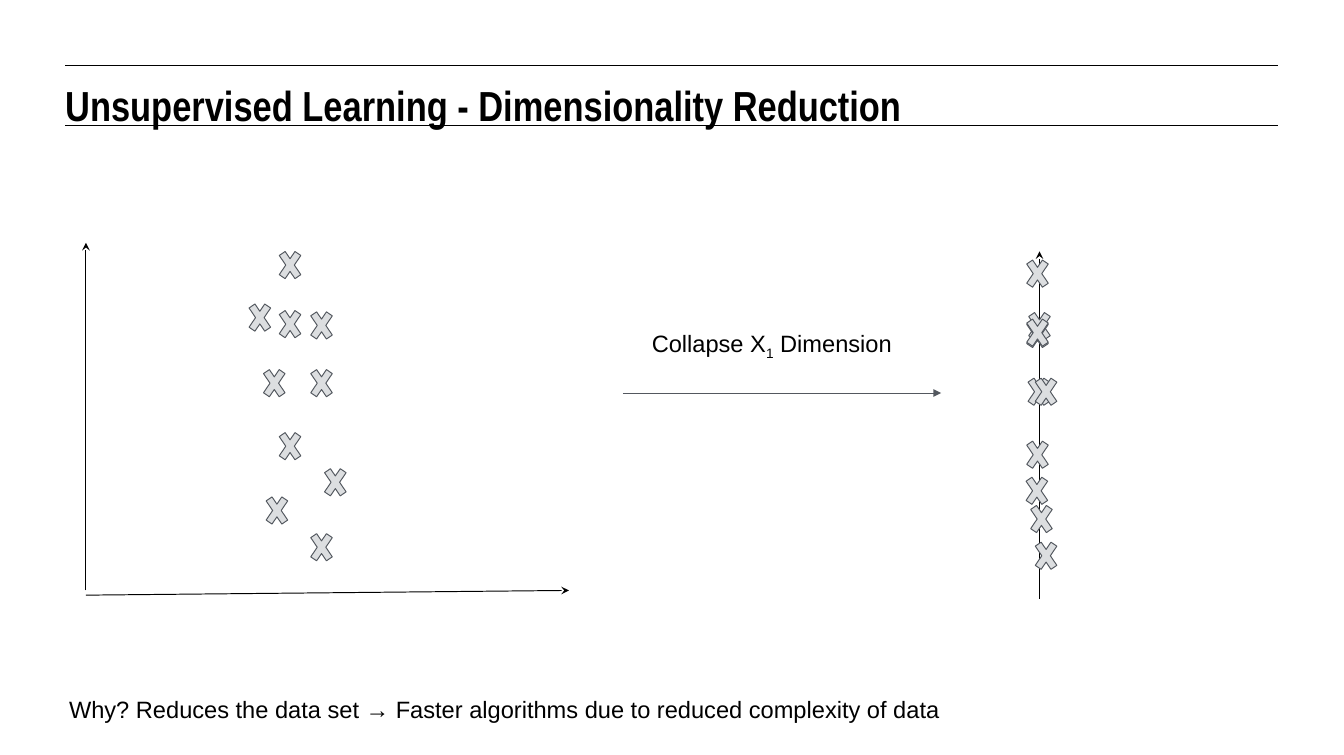
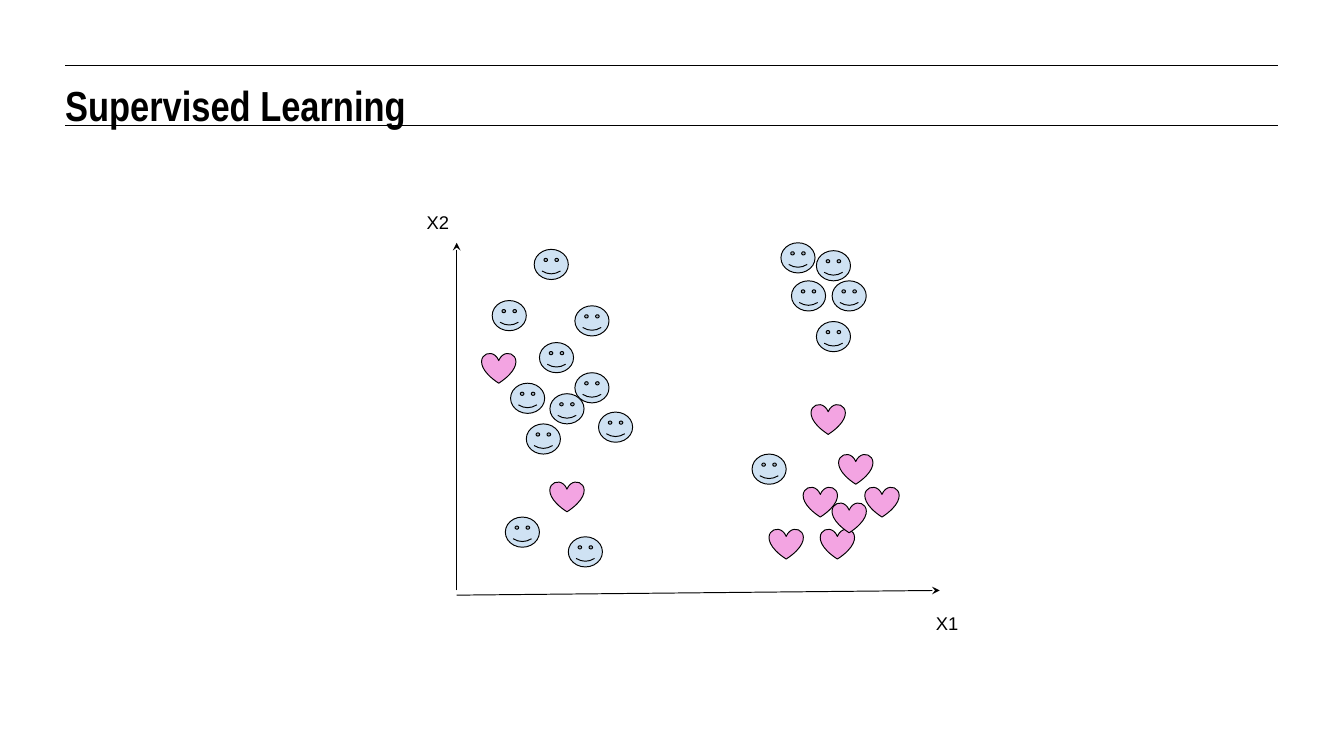
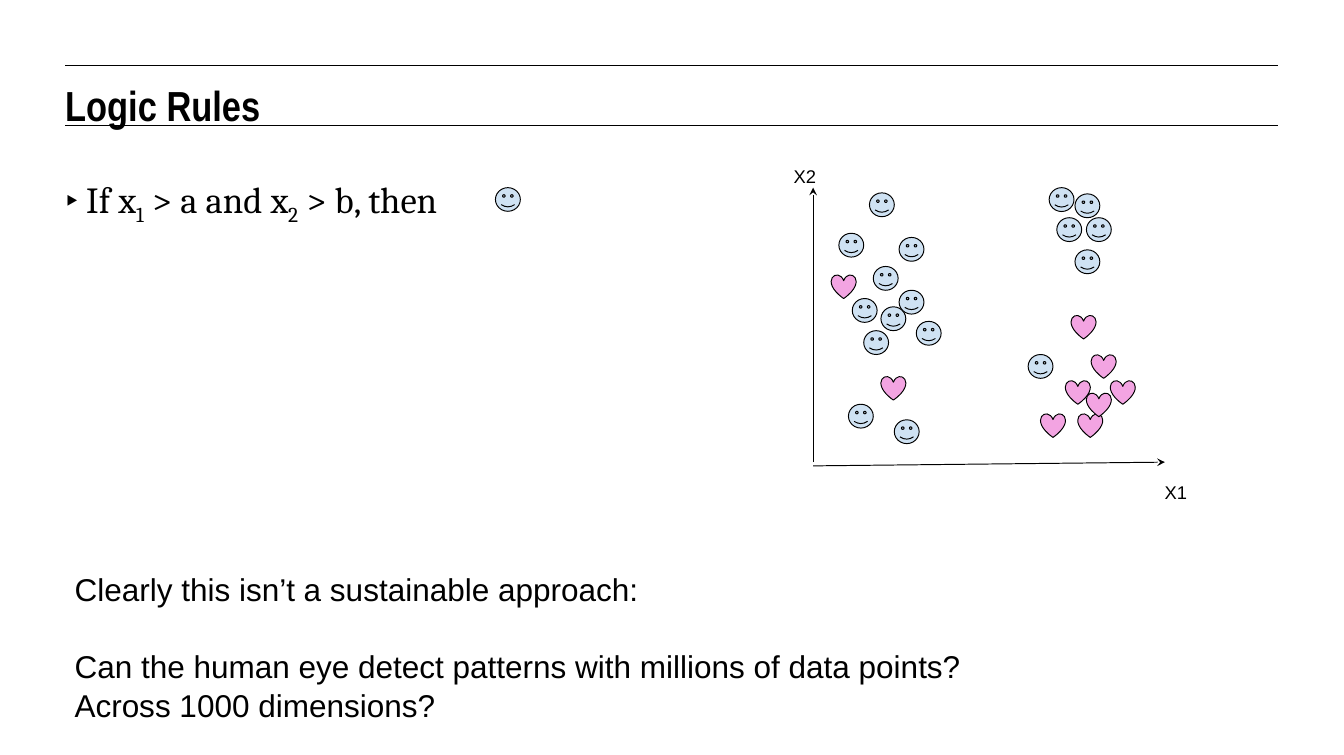
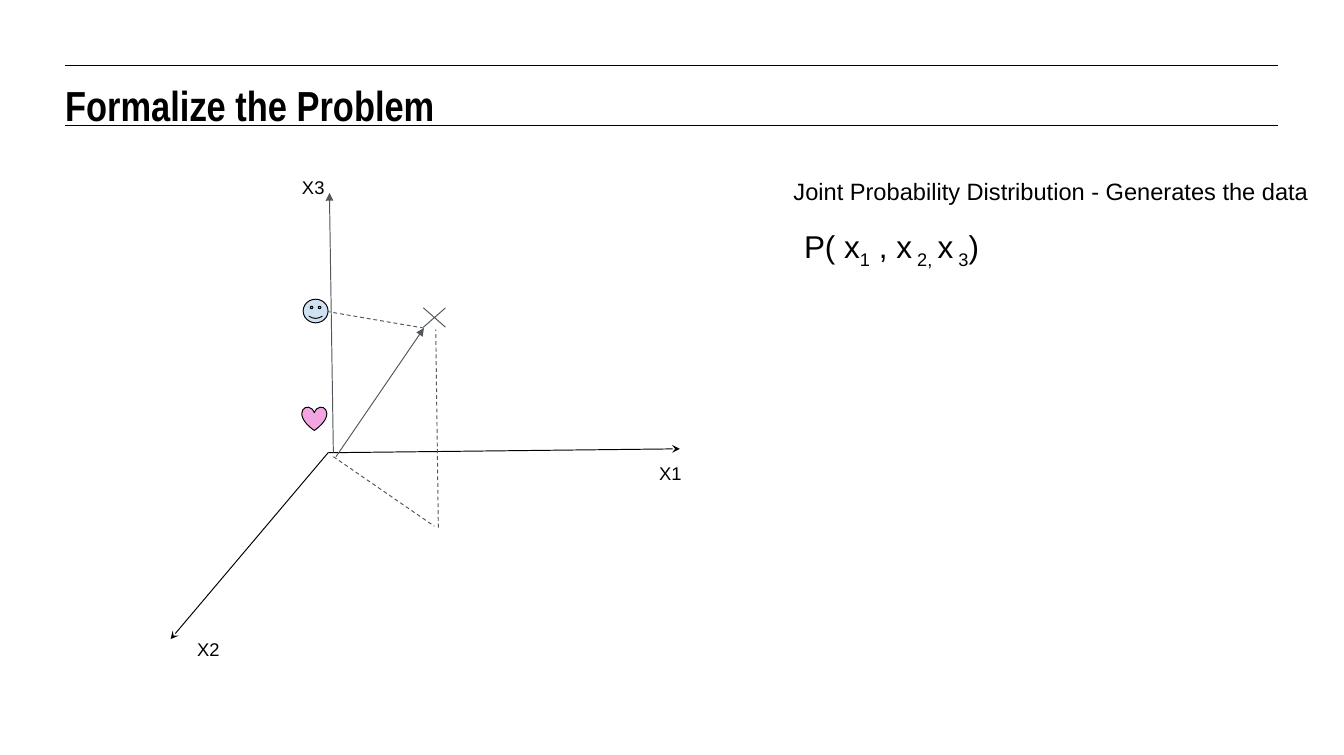
from dataclasses import dataclass
from typing import NamedTuple

from pptx import Presentation
from pptx.dml.color import RGBColor
from pptx.enum.dml import MSO_LINE
from pptx.enum.shapes import MSO_CONNECTOR, MSO_SHAPE
from pptx.enum.text import MSO_ANCHOR, MSO_AUTO_SIZE, PP_ALIGN
from pptx.oxml.ns import qn
from pptx.util import Pt
from lxml.etree import SubElement


@dataclass(frozen=True)
class Theme:
    black: RGBColor = RGBColor(0x00, 0x00, 0x00)
    slate: RGBColor = RGBColor(0x53, 0x58, 0x5F)
    silver: RGBColor = RGBColor(0xDC, 0xDE, 0xE0)
    sky: RGBColor = RGBColor(0xCF, 0xE2, 0xF3)
    pink: RGBColor = RGBColor(0xF3, 0xA4, 0xE2)
    title_font: str = "Arial Narrow"
    text_font: str = "Arial"
    rule_font: str = "Cambria"
    title_size: int = 32
    body_size: int = 28
    large_size: int = 24
    note_size: int = 18
    label_size: int = 14
    line_width: float = 0.75
    inset: float = 7.2


class Box(NamedTuple):
    left: float
    top: float
    width: float
    height: float


THEME = Theme()
SLIDE_SIZE = (1024, 575.3)
TITLE_BOX = Box(49.7, 58.3, 924, 34)
RULE_LEVELS = (49.7, 95.8)
TITLE_ONLY, TITLE_AND_BODY = 5, 1

# Axes and scatter data share one grid, scaled to the box of each plot
GRID = (368, 268.5)
AXIS_LIFT = 3.6
MARKER_SIZE = (26, 23)
SMALL_MARKER = (19, 18)
SMALL_LABEL = (32.5, 18)
CROSS_SIZE = (23, 34)

FACES = [
    (63, 76), (41, 107), (108, 129), (53, 138), (71, 115), (90, 99),
    (225, 161), (37, 209), (85, 224), (59, 5), (27, 44), (90, 48),
    (255, 29), (274, 6), (286, 29), (274, 60), (247, 0),
]
HEARTS = [
    (291, 161), (238, 218), (264, 186), (277, 218), (311, 186),
    (270, 123), (286, 198), (71, 182), (19, 84),
]
# Each sample: x in the plane, y, and x beside the single remaining axis
SAMPLES = [
    (144, 0, -13), (121, 40, -11.5), (168, 46, -13), (144, 45, -13),
    (132, 90, -12), (168, 90, -6.5), (134, 187, -10), (168, 215, -6.5),
    (144, 138, -13), (178.5, 165.5, -13.5),
]


# Basic parts
def place(shape, box):
    shape.left, shape.top, shape.width, shape.height = (Pt(v) for v in box)


def format_run(run, size, font=THEME.text_font, bold=False):
    run.font.name, run.font.size, run.font.bold = font, Pt(size), bold
    run.font.color.rgb = THEME.black


def write(paragraph, text, size, font=THEME.text_font):
    """Write text in which underscores enclose subscripts."""
    for index, part in enumerate(text.split("_")):
        if part:
            run = paragraph.add_run()
            run.text = part
            format_run(run, size, font)
            if index % 2:
                run._r.get_or_add_rPr().set("baseline", "-25000")


def set_frame(frame, inset):
    frame.word_wrap = True
    frame.auto_size = MSO_AUTO_SIZE.NONE
    frame.vertical_anchor = MSO_ANCHOR.TOP
    frame.margin_left = frame.margin_right = Pt(inset)
    frame.margin_top = frame.margin_bottom = Pt(inset)


def add_text(slide, box, text, size):
    frame = slide.shapes.add_textbox(*(Pt(v) for v in box)).text_frame
    set_frame(frame, THEME.inset)
    write(frame.paragraphs[0], text, size)
    return frame


def add_line(slide, start, end, color=THEME.black, head=None, dashed=False):
    line = slide.shapes.add_connector(
        MSO_CONNECTOR.STRAIGHT, *(Pt(v) for v in (*start, *end)))
    line.line.color.rgb = color
    line.line.width = Pt(THEME.line_width)
    if dashed:
        line.line.dash_style = MSO_LINE.DASH
    properties = line.element.spPr
    if head:
        SubElement(properties.find(qn("a:ln")), qn("a:tailEnd"), type=head)
    SubElement(properties, qn("a:effectLst"))
    return line


def add_marker(slide, kind, box, fill, outline=THEME.black):
    marker = slide.shapes.add_shape(kind, *(Pt(v) for v in box))
    marker.shadow.inherit = False
    marker.fill.solid()
    marker.fill.fore_color.rgb = fill
    marker.line.color.rgb = outline
    marker.line.width = Pt(THEME.line_width)
    return marker


def add_face(slide, box):
    add_marker(slide, MSO_SHAPE.SMILEY_FACE, box, THEME.sky)


def add_heart(slide, box):
    add_marker(slide, MSO_SHAPE.HEART, box, THEME.pink)


def add_cross(slide, box):
    return add_marker(slide, MSO_SHAPE.MATH_MULTIPLY, box, THEME.silver,
                      THEME.slate)


# Shared frame of the slides
def add_titled_slide(presentation, title, layout=TITLE_ONLY):
    slide = presentation.slides.add_slide(presentation.slide_layouts[layout])
    shape = slide.shapes.title
    place(shape, TITLE_BOX)
    frame = shape.text_frame
    frame.text = title
    set_frame(frame, 0)
    frame.margin_top = Pt(2.5)
    frame.paragraphs[0].alignment = PP_ALIGN.LEFT
    format_run(frame.paragraphs[0].runs[0], THEME.title_size,
               THEME.title_font, bold=True)
    return slide


def move_rules_to_master(presentation, slide):
    """Draw the rules around the title and hand them to the master."""
    tree = presentation.slide_master.element.cSld.spTree
    right = TITLE_BOX.left + TITLE_BOX.width
    for number, level in enumerate(RULE_LEVELS, start=101):
        rule = add_line(slide, (TITLE_BOX.left, level), (right, level))
        rule.element.nvCxnSpPr.cNvPr.set("id", str(number))
        tree.append(rule.element)


# Plots
def add_vertical_axis(slide, box):
    lift = AXIS_LIFT * box.height / GRID[1]
    add_line(slide, (box.left, box.top + box.height - lift),
             (box.left, box.top), head="stealth")


def add_axes(slide, box):
    add_vertical_axis(slide, box)
    bottom = box.top + box.height
    lift = AXIS_LIFT * box.height / GRID[1]
    add_line(slide, (box.left, bottom), (box.left + box.width, bottom - lift),
             head="stealth")


def add_class_plot(slide, box):
    scale_x, scale_y = box.width / GRID[0], box.height / GRID[1]

    def scaled(x, y, width, height):
        return Box(box.left + x * scale_x, box.top + y * scale_y,
                   width * scale_x, height * scale_y)

    add_axes(slide, box)
    add_text(slide, scaled(358, 274, 45, 23), "X1", THEME.label_size)
    add_text(slide, scaled(-30, -31, 45, 23), "X2", THEME.label_size)
    for add_point, points in ((add_face, FACES), (add_heart, HEARTS)):
        for point in points:
            add_point(slide, scaled(*point, *MARKER_SIZE))


def add_plane_plot(slide, box):
    add_axes(slide, box)
    for x, y, _ in SAMPLES:
        add_cross(slide, Box(box.left + x, box.top + y, *CROSS_SIZE))


def add_collapsed_plot(slide, box):
    add_vertical_axis(slide, box)
    for _, y, x in SAMPLES:
        add_cross(slide, Box(box.left + x, box.top + y, *CROSS_SIZE))


def add_space_plot(slide, left, top):
    def at(x, y):
        return left + x, top + y

    # Ground axes
    for end in ((2, 360), (390, 215)):
        add_line(slide, at(122, 218), at(*end), head="stealth")
    for text, corner in (("X1", (367, 218)), ("X2", (15, 352)),
                         ("X3", (95, 0))):
        add_text(slide, Box(*at(*corner), *SMALL_LABEL), text,
                 THEME.label_size)

    # Classes and the data point
    add_face(slide, Box(*at(103, 101), *SMALL_MARKER))
    add_heart(slide, Box(*at(102, 183), *SMALL_MARKER))
    add_cross(slide, Box(*at(187, 101), 32, 28)).adjustments[0] = 0

    # Upright axis and vector, then the projections
    for start, end in (((126, 218), (123, 20)), ((128, 221), (195, 123))):
        add_line(slide, at(*start), at(*end), THEME.slate, head="triangle")
    for start, end in (((126, 221), (203, 274)), ((206, 275), (204, 124)),
                       ((195, 123), (122, 110.5))):
        add_line(slide, at(*start), at(*end), THEME.slate, dashed=True)


# Text regions
def add_rule_list(slide, box):
    body = slide.placeholders[1]
    place(body, box)
    set_frame(body.text_frame, 0)
    body.text_frame.margin_top = Pt(33)
    paragraph = body.text_frame.paragraphs[0]
    paragraph.space_before = Pt(0)
    write(paragraph, "If x_1_ > a and x_2_ > b, then", THEME.body_size,
          THEME.rule_font)
    properties = paragraph._p.get_or_add_pPr()
    properties.set("marL", str(Pt(16)))
    properties.set("indent", str(-Pt(20)))
    SubElement(properties, qn("a:buChar"), char="‣")


def add_questions(slide, box):
    frame = add_text(slide, box, "Clearly this isn’t a sustainable approach:",
                     THEME.large_size)
    question = frame.add_paragraph()
    write(question, "Can the human eye detect patterns with millions of data "
          "points? Across 1000 dimensions?", THEME.large_size)
    question.space_before = Pt(28.7)
    for paragraph in frame.paragraphs:
        paragraph.line_spacing = 1.04


# Slides
def build_reduction(presentation):
    slide = add_titled_slide(
        presentation, "Unsupervised Learning - Dimensionality Reduction")
    move_rules_to_master(presentation, slide)
    add_plane_plot(slide, Box(65.5, 185, *GRID))
    add_collapsed_plot(slide, Box(792, 191.5, *GRID))
    add_line(slide, (474.5, 299.5), (717, 299.5), THEME.slate,
             head="triangle")
    add_text(slide, Box(489.5, 243.5, 203, 37.5), "Collapse X_1_ Dimension",
             THEME.note_size)
    add_text(slide, Box(45.5, 522.5, 779, 44.5),
             "Why? Reduces the data set → Faster algorithms due to reduced "
             "complexity of data", THEME.note_size)


def build_supervised(presentation):
    slide = add_titled_slide(presentation, "Supervised Learning")
    add_class_plot(slide, Box(348, 185, *GRID))


def build_logic_rules(presentation):
    slide = add_titled_slide(presentation, "Logic Rules", TITLE_AND_BODY)
    add_class_plot(slide, Box(619.5, 143, 268, 212))
    add_rule_list(slide, Box(TITLE_BOX.left, 101.5, 491, 119))
    add_face(slide, Box(377.5, 143, *SMALL_MARKER))
    add_questions(slide, Box(TITLE_BOX.left, 426, 721, 131))


def build_formal_problem(presentation):
    slide = add_titled_slide(presentation, "Formalize the Problem")
    add_space_plot(slide, 128, 127)
    add_text(slide, Box(605.5, 165.5, 236, 34), "P( x_1_ , x_ 2, _x_ 3_)",
             THEME.large_size)
    add_text(slide, Box(597.5, 127.5, 426, 34),
             "Joint Probability Distribution - Generates the data",
             THEME.note_size)


def main():
    presentation = Presentation()
    presentation.slide_width, presentation.slide_height = (
        Pt(v) for v in SLIDE_SIZE)
    for build in (build_reduction, build_supervised, build_logic_rules,
                  build_formal_problem):
        build(presentation)
    presentation.save("out.pptx")


if __name__ == "__main__":
    main()
